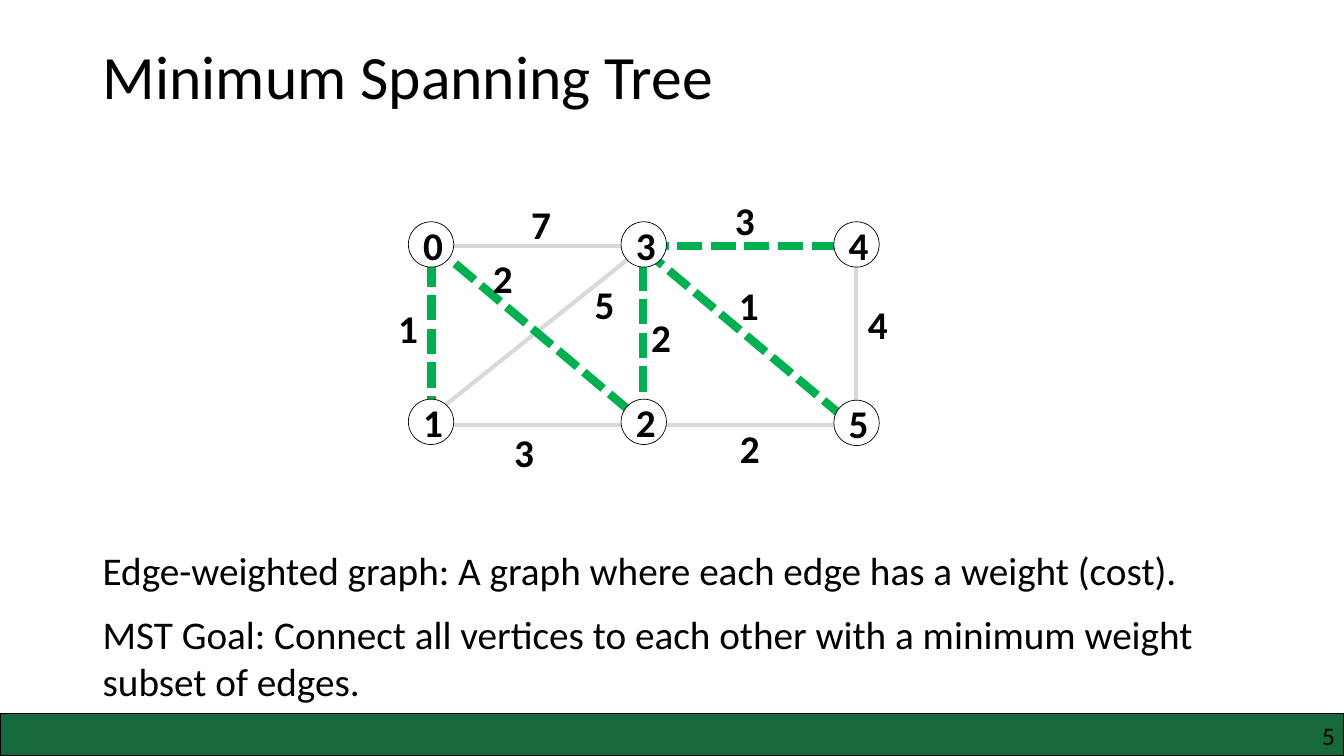
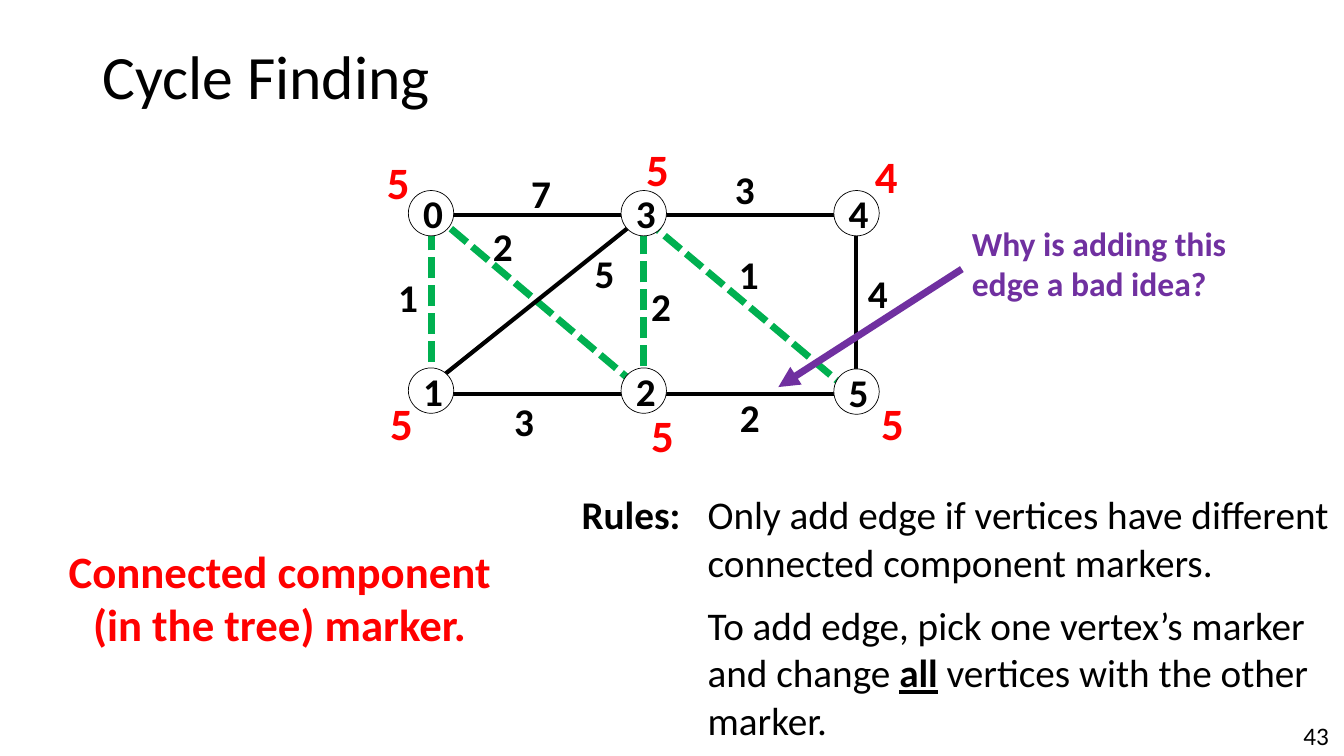
from lxml import etree
from pptx import Presentation
from pptx import util as u
from pptx.dml.color import RGBColor
from pptx.enum import dml, shapes, text
from pptx.oxml.ns import qn

I = u.Inches
rgb = RGBColor.from_string
FONT = "Calibri"
BLACK, WHITE, RED = "000000", "FFFFFF", "FF0000"
GREEN, GRAY, PURPLE, BAND = "00B050", "D9D9D9", "7030A0", "15693B"
LEFT, CENTER, RIGHT = text.PP_ALIGN.LEFT, text.PP_ALIGN.CENTER, text.PP_ALIGN.RIGHT
TOP, MIDDLE = text.MSO_ANCHOR.TOP, text.MSO_ANCHOR.MIDDLE


def add_text(s, box, paras, size=28, color=BLACK, bold=False, align=LEFT,
             anchor=TOP, insets=(0.1, 0.05, 0.1, 0.05), gap=0, sp=None):
    sp = sp or s.shapes.add_textbox(*map(I, box))
    tf = sp.text_frame
    tf.word_wrap = True
    tf.vertical_anchor = anchor
    tf.margin_left, tf.margin_top, tf.margin_right, tf.margin_bottom = map(I, insets)
    for i, runs in enumerate(paras):
        p = tf.add_paragraph() if i else tf.paragraphs[0]
        p.alignment = align
        if i and gap:
            p.space_before = u.Pt(gap)
        for words, strong in [(runs, False)] if isinstance(runs, str) else runs:
            r = p.add_run()
            r.text = words
            r.font.name = FONT
            r.font.size = u.Pt(size)
            r.font.bold = bold or strong
            r.font.underline = strong
            r.font.color.rgb = rgb(color)
    return tf


def add_line(s, ends, color, width, dashed=False):
    c = s.shapes.add_connector(shapes.MSO_CONNECTOR.STRAIGHT, *map(I, ends))
    c.line.color.rgb = rgb(color)
    c.line.width = u.Pt(width)
    if dashed:
        c.line.dash_style = dml.MSO_LINE.SQUARE_DOT
    etree.SubElement(c._element.spPr, qn("a:effectLst"))
    return c


NODES = {"0": (4.05, 2.2), "1": (4.05, 3.96), "2": (6.16, 3.96),
         "3": (6.16, 2.2), "4": (8.27, 2.2), "5": (8.27, 3.97)}
EDGES = {
    "13": ((6.38, 2.45, 4.24, 4.16), "5", (5.8, 2.73)),
    "01": ((4.28, 4.18, 4.28, 2.4), "1", (3.85, 2.97)),
    "45": ((8.49, 4.16, 8.49, 2.37), "4", (8.51, 2.93)),
    "23": ((6.38, 4.22, 6.38, 2.44), "2", (6.36, 3.06)),
    "03": ((4.28, 2.44, 6.43, 2.44), "7", (5.17, 1.94)),
    "12": ((4.28, 4.22, 6.43, 4.22), "3", (5, 4.2)),
    "34": ((6.38, 2.44, 8.53, 2.44), "3", (7.19, 1.9)),
    "25": ((6.43, 4.22, 8.58, 4.22), "2", (7.24, 4.16)),
    "02": ((4.26, 2.4, 6.38, 4.19), "2", (4.79, 2.47)),
    "35": ((6.38, 2.47, 8.51, 4.26), "1", (7.23, 2.74)),
}
SLIDES = [
    ("Minimum Spanning Tree", "5", 13.24, 0, ["01", "23", "02", "35", "34"], 6, GRAY, True),
    ("Cycle Finding", "43", 13.18, -0.31, ["01", "23", "02", "35"], 5, BLACK, False),
]

prs = Presentation()
prs.slide_width, prs.slide_height = I(13.33), I(7.5)

for title, number, right, dy, tree, tree_width, edge_color, tree_on_top in SLIDES:
    s = prs.slides.add_slide(prs.slide_layouts[6])
    add_text(s, (0.92, 0.02, 11.5, 1.45), [title], size=44, anchor=MIDDLE)

    for pair in sorted(EDGES, key=lambda e: (e in tree) == tree_on_top):
        (x1, y1, x2, y2), weight, (x, y) = EDGES[pair]
        chosen = pair in tree
        add_line(s, (x1, y1 + dy, x2, y2 + dy), GREEN if chosen else edge_color,
                 tree_width if chosen else 3, chosen)
    for name, (x, y) in NODES.items():
        sp = s.shapes.add_shape(shapes.MSO_SHAPE.OVAL, I(x), I(y + dy), I(0.45), I(0.45))
        sp.shadow.inherit = False
        sp.fill.solid()
        sp.fill.fore_color.rgb = rgb(WHITE)
        sp.line.color.rgb = rgb(BLACK)
        sp.line.width = u.Pt(0.5)
        tf = add_text(s, None, [name], bold=True, align=CENTER, anchor=MIDDLE,
                      insets=(0.04, 0, 0, 0), sp=sp)
        tf.word_wrap = False
    for ends, weight, (x, y) in EDGES.values():
        add_text(s, (x, y + dy, 0.61, 0.57), [weight], bold=True)

    if number == "5":
        add_text(s, (0.92, 5.37, 11.66, 1.68), [
            "Edge-weighted graph: A graph where each edge has a weight (cost).",
            "MST Goal: Connect all vertices to each other with a minimum weight subset of edges.",
        ], gap=12)
        band = s.shapes.add_shape(shapes.MSO_SHAPE.RECTANGLE, 0, I(7.08), I(13.33), I(0.42))
        band.shadow.inherit = False
        band.fill.solid()
        band.fill.fore_color.rgb = rgb(BAND)
        band.line.color.rgb = rgb(BLACK)
        band.line.width = u.Pt(1)
    else:
        for marker, x, y in [("5", 3.74, 1.49), ("5", 3.77, 3.88), ("5", 6.36, 4),
                             ("5", 6.31, 1.36), ("4", 8.58, 1.43), ("5", 8.64, 3.88)]:
            add_text(s, (x, y, 0.37, 0.64), [marker], size=32, color=RED, bold=True)
        add_text(s, (0.55, 5.34, 4.45, 1.18), ["Connected component", "(in the tree) marker."],
                 size=32, color=RED, bold=True, align=CENTER)
        add_text(s, (9.54, 2.16, 2.88, 0.91), ["Why is adding this edge a bad idea?"],
                 size=24, color=PURPLE, bold=True)
        arrow = add_line(s, (9.54, 2.67, 7.72, 3.84), PURPLE, 5)
        etree.SubElement(arrow.line._get_or_add_ln(), qn("a:tailEnd"), type="triangle")
        add_text(s, (5.67, 4.82, 1.25, 0.57), ["Rules:"], bold=True)
        add_text(s, (6.92, 4.82, 6.41, 2.63), [
            "Only add edge if vertices have different connected component markers.",
            [("To add edge, pick one vertex’s marker and change ", False), ("all", True),
             (" vertices with the other marker.", False)],
        ], gap=12)

    add_text(s, (right - 0.73, 7.15, 0.73, 0.3), [number], size=18, align=RIGHT,
             insets=(0, 0, 0, 0))

prs.save("out.pptx")
